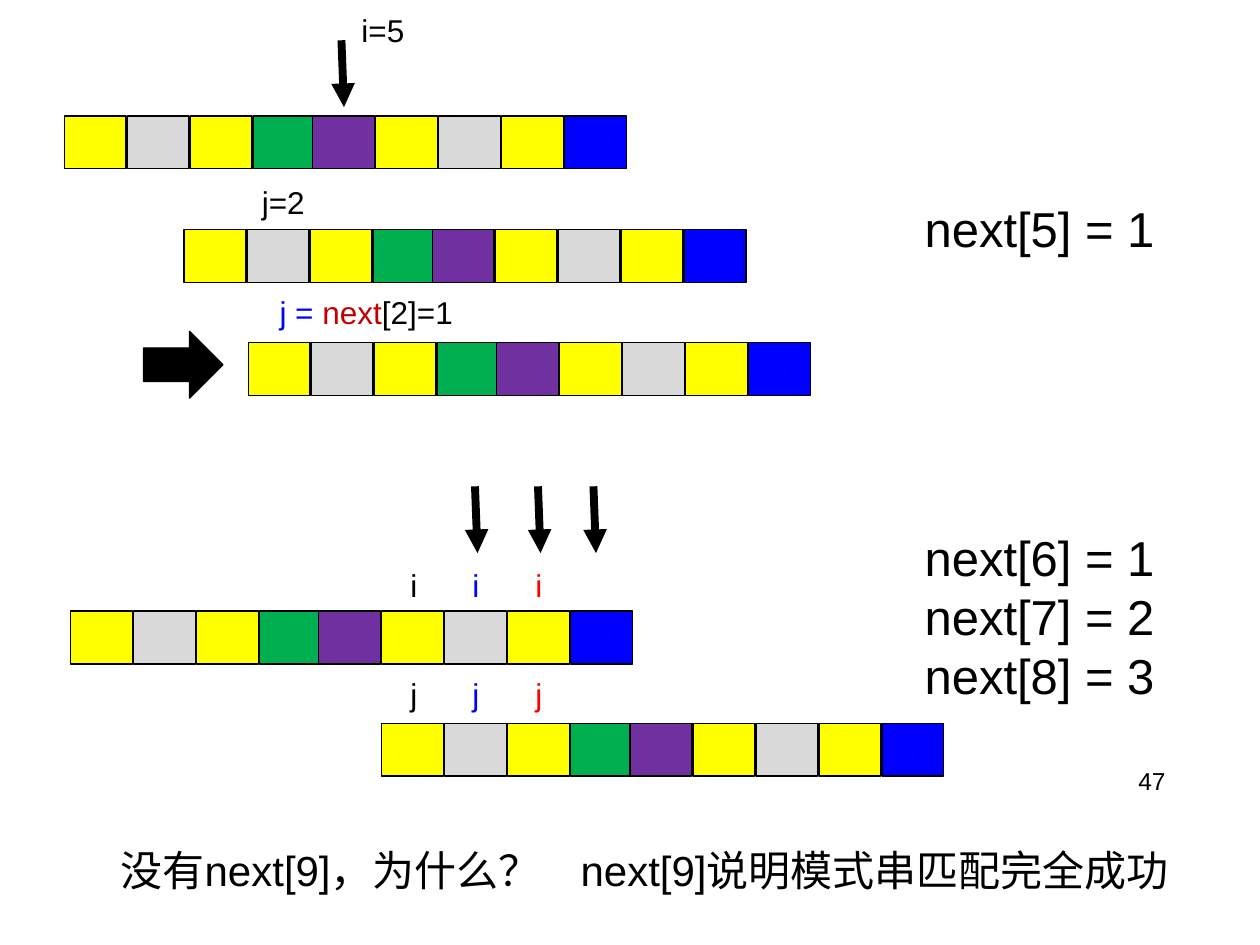
from lxml import etree
from pptx import Presentation
from pptx.dml.color import RGBColor
from pptx.enum.shapes import MSO_CONNECTOR, MSO_SHAPE
from pptx.enum.text import MSO_AUTO_SIZE, PP_ALIGN
from pptx.oxml.ns import qn
from pptx.util import Inches, Pt

STRAIGHT = MSO_CONNECTOR.STRAIGHT
RECTANGLE, RIGHT_ARROW = MSO_SHAPE.RECTANGLE, MSO_SHAPE.RIGHT_ARROW
FIT_SHAPE = MSO_AUTO_SIZE.SHAPE_TO_FIT_TEXT
LEFT, RIGHT = PP_ALIGN.LEFT, PP_ALIGN.RIGHT

BLACK, BLUE, RED, DARK_RED = "000000", "0000FF", "FF0000", "C00000"
YELLOW, GREY, GREEN, PURPLE = "FFFF00", "D9D9D9", "00B050", "7030A0"
PATTERN = [YELLOW, GREY, YELLOW, GREEN, PURPLE, YELLOW, GREY, YELLOW, BLUE]
COLUMNS, ROWS = 100, 75


def color(value):
    return RGBColor.from_string(value)


def write(paragraph, text, size=18, fill=BLACK, font="Arial"):
    run = paragraph.add_run()
    run.text = text
    run.font.name = font
    run.font.size = Pt(size)
    run.font.color.rgb = color(fill)


class MatchingSlide:
    """Draws string matching steps on a grid of 100 columns and 75 rows."""

    def __init__(self, presentation):
        self.slide = presentation.slides.add_slide(presentation.slide_layouts[6])
        self.column = presentation.slide_width / COLUMNS
        self.row = presentation.slide_height / ROWS

    def place(self, left, top, width, height):
        return (round(left * self.column), round(top * self.row),
                round(width * self.column), round(height * self.row))

    def shape(self, kind, box, fill):
        shape = self.slide.shapes.add_shape(kind, *self.place(*box))
        shape.shadow.inherit = False
        shape.fill.solid()
        shape.fill.fore_color.rgb = color(fill)
        shape.line.color.rgb = color(BLACK)
        shape.line.width = Pt(0.75)

    def pattern(self, left, top):
        for index, fill in enumerate(PATTERN):
            overlap = 0.3 if index >= PATTERN.index(PURPLE) else 0
            self.shape(RECTANGLE, (left + 5 * index - overlap, top, 4.9, 4.2), fill)

    def text(self, box, *lines, wrap=False, align=LEFT, **style):
        shape = self.slide.shapes.add_textbox(*self.place(*box))
        frame = shape.text_frame
        frame.word_wrap = wrap
        frame.auto_size = FIT_SHAPE
        for index, line in enumerate(lines):
            paragraph = frame.paragraphs[0] if index == 0 else frame.add_paragraph()
            paragraph.alignment = align
            parts = [(line, {})] if isinstance(line, str) else line
            for words, changes in parts:
                write(paragraph, words, **{**style, **changes})

    def pointer(self, left, top):
        x, y, width, height = self.place(left, top, 0.2, 5.3)
        connector = self.slide.shapes.add_connector(STRAIGHT, x, y, x + width, y + height)
        connector.line.color.rgb = color(BLACK)
        connector.line.width = Pt(4.5)
        line = connector.line._get_or_add_ln()
        etree.SubElement(line, qn("a:tailEnd"), type="triangle")
        etree.SubElement(connector._element.spPr, qn("a:effectLst"))


def main():
    presentation = Presentation()
    presentation.slide_width, presentation.slide_height = Inches(10), Inches(7.5)
    slide = MatchingSlide(presentation)

    for left, top in [(5.1, 9.2), (14.6, 18.2), (19.7, 27.2), (5.6, 48.5), (30.3, 57.4)]:
        slide.pattern(left, top)
    for left, top in [(27.1, 3.2), (37.7, 38.6), (42.7, 38.6), (47.1, 38.6)]:
        slide.pointer(left, top)
    slide.shape(RIGHT_ARROW, (11.4, 26.3, 6.3, 5.3), BLACK)

    slide.text((27.7, 0.4, 5.5, 4), "i=5")
    slide.text((19.8, 14, 5.5, 4), "j=2")
    slide.text((21.2, 22.8, 15.9, 4),
               [("j = ", {"fill": BLUE}), ("next", {"fill": DARK_RED}), ("[2]=1", {})])
    for left, fill in [(31.6, BLACK), (36.5, BLUE), (41.5, RED)]:
        slide.text((left, 44.4, 2.6, 4), "i", fill=fill)
        slide.text((left, 53.1, 2.6, 4), "j", fill=fill)

    slide.text((72.4, 15.3, 20.5, 5.7), "next[5] = 1", size=28)
    slide.text((72.4, 41.4, 20.5, 15.1),
               "next[6] = 1", "next[7] = 2", "next[8] = 3", size=28)
    slide.text((70.2, 60.3, 23.3, 5.2), "47", size=14, align=RIGHT, wrap=True)
    slide.text((8.6, 66.5, 35.7, 5), "没有next[9]，为什么？", size=24)
    slide.text((45.1, 66.5, 49.1, 5), "next[9]说明模式串匹配完全成功", size=24, wrap=True)

    presentation.save("out.pptx")


if __name__ == "__main__":
    main()
